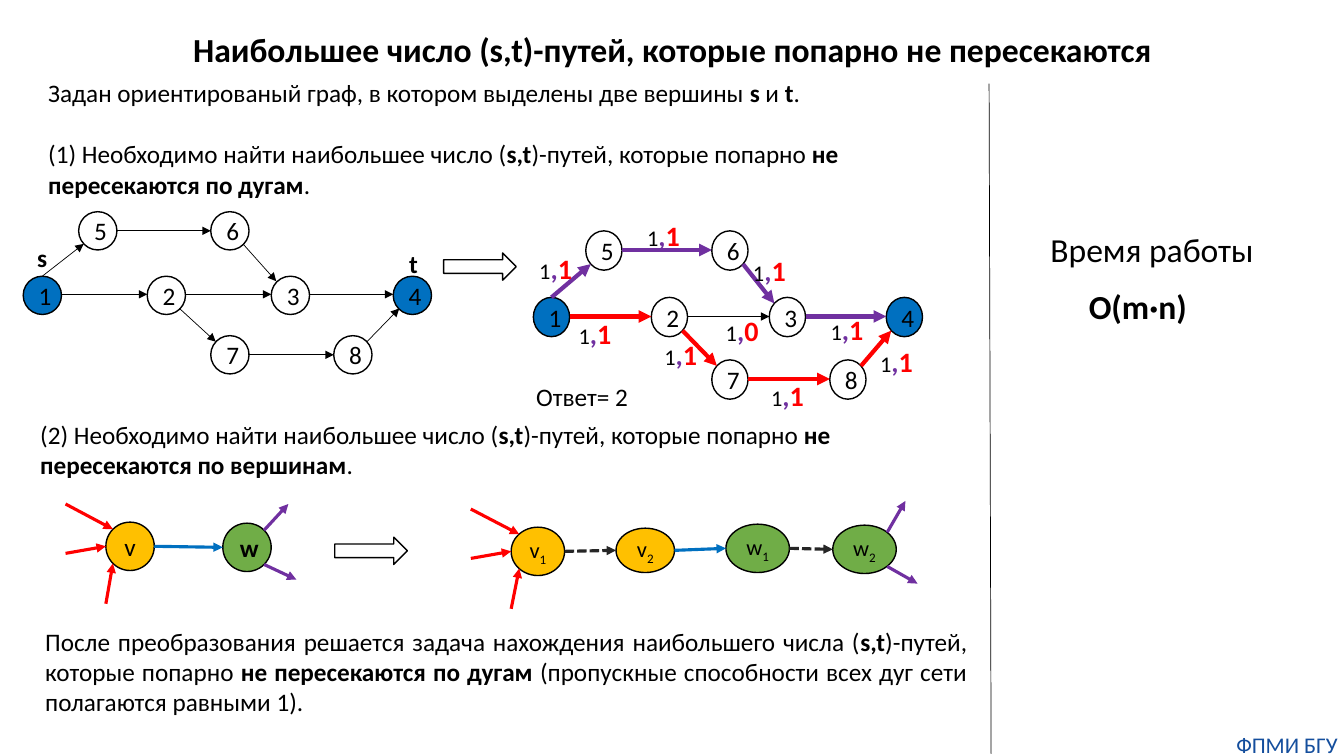
from pptx import Presentation
from pptx.dml.color import RGBColor
from pptx.enum.dml import MSO_LINE
from pptx.enum.shapes import MSO_CONNECTOR, MSO_SHAPE
from pptx.enum.text import MSO_ANCHOR, PP_ALIGN
from pptx.oxml.ns import qn
from pptx.util import Pt
from lxml.etree import SubElement

PX = 9144
BLACK, RED, PURPLE, BLUE = "000000", "FF0000", "7030A0", "0070C0"
YELLOW, GREEN, GRAY, NAVY = "FFC000", "70AD47", "262626", "144E9D"

SITES = {"N": (0.5, 0), "E": (1, 0.5), "W": (0, 0.5), "NE": (0.85, 0.15),
         "SE": (0.85, 0.85), "SW": (0.15, 0.85), "NW": (0.15, 0.15)}
GRAPH_SIZE = (386, 167)
NODE_SIZE = (36, 39)
NODES = {"1": (0, 66), "2": (117, 66), "3": (234, 66), "4": (350, 66),
         "5": (52, 0), "6": (177, 0), "7": (177, 128), "8": (294, 128)}
ARCS = [
    ("1", "E", "2", "W", RED, (35, 80), "1"),
    ("2", "E", "3", "W", None, (181, 77), "0"),
    ("3", "E", "4", "W", PURPLE, (285, 76), "1"),
    ("2", "SE", "7", "NW", RED, (120, 101), "1"),
    ("7", "E", "8", "W", RED, (226, 142), "1"),
    ("8", "NE", "4", "SW", RED, (334, 108), "1"),
    ("1", "N", "5", "SW", PURPLE, (-4, 16), "1"),
    ("5", "E", "6", "W", PURPLE, (103, -17), "1"),
    ("6", "SE", "3", "NW", PURPLE, (208, 18), "1"),
]


def rgb(color):
    return RGBColor.from_string(color)


def px(*lengths):
    return [round(length) * PX for length in lengths]


def set_font(font, size, color, bold=None):
    font.name = "Calibri"
    font.size = Pt(size)
    font.color.rgb = rgb(color)
    font.bold = bold


def add_text(slide, box, paragraphs, size=18, color=BLACK, bold=None, wrap=True,
             align=PP_ALIGN.LEFT, gap=0):
    frame = slide.shapes.add_textbox(*px(*box)).text_frame
    frame.word_wrap = wrap
    for index, text in enumerate(paragraphs):
        line = frame.add_paragraph() if index else frame.paragraphs[0]
        line.alignment = align
        line.space_before = Pt(gap if index else 0)
        set_font(line.font, size, color, bold)
        for part, words in enumerate(text.split("|")):
            run = line.add_run()
            run.text = words
            if part % 2:
                run.font.bold = True
    return frame


def add_outlined(slide, preset, box, fill=None):
    shape = slide.shapes.add_shape(preset, *px(*box))
    shape.shadow.inherit = False
    if fill:
        shape.fill.solid()
        shape.fill.fore_color.rgb = rgb(fill)
    else:
        shape.fill.background()
    shape.line.color.rgb = rgb(BLACK)
    shape.line.width = Pt(1)
    return shape


def add_vertex(slide, box, name, fill=None, size=18, bold=None):
    frame = add_outlined(slide, MSO_SHAPE.OVAL, box, fill).text_frame
    frame.vertical_anchor = MSO_ANCHOR.MIDDLE
    label = frame.paragraphs[0]
    label.alignment = PP_ALIGN.CENTER
    set_font(label.font, size, BLACK, bold)
    label.add_run().text = name[0]
    if name[1:]:
        index = label.add_run()
        index.text = name[1:]
        index.font._element.set("baseline", "-25000")


def add_line(slide, start, end, color, width, arrow=True, dashed=False):
    line = slide.shapes.add_connector(MSO_CONNECTOR.STRAIGHT, *px(*start, *end))
    line.line.color.rgb = rgb(color)
    line.line.width = Pt(width)
    if dashed:
        line.line.dash_style = MSO_LINE.SQUARE_DOT
    properties = line._element.spPr
    if arrow:
        SubElement(properties.find(qn("a:ln")), qn("a:tailEnd"), type="triangle")
    SubElement(properties, qn("a:effectLst"))


def site(box, name):
    left, top, width, height = box
    across, down = SITES[name]
    return left + across * width, top + down * height


def add_flow_label(slide, left, top, flow):
    frame = slide.shapes.add_textbox(*px(left, top, 53, 44)).text_frame
    frame.word_wrap = False
    label = frame.paragraphs[0]
    for text, size, color, bold in [("1", 16, BLACK, False), (",", 20, PURPLE, True),
                                    (flow, 20, RED, True)]:
        run = label.add_run()
        run.text = text
        set_font(run.font, size, color, bold)


def add_graph(slide, box, with_flow):
    left, top, width, height = box
    across, down = width / GRAPH_SIZE[0], height / GRAPH_SIZE[1]
    vertices = {name: (left + x * across, top + y * down,
                       NODE_SIZE[0] * across, NODE_SIZE[1] * down)
                for name, (x, y) in NODES.items()}
    for name, vertex in vertices.items():
        add_vertex(slide, vertex, name, BLUE if name in "14" else None)
    for tail, leave, head, enter, color, _, _ in ARCS:
        used = with_flow and color
        add_line(slide, site(vertices[tail], leave), site(vertices[head], enter),
                 color if used else BLACK, 3 if used else 0.5)
    if with_flow:
        for *_, (x, y), flow in ARCS:
            add_flow_label(slide, left + x, top + y, flow)
    else:
        add_text(slide, (left + 4, top + 25, 30, 40), ["s"], bold=True, wrap=False)
        add_text(slide, (left + 373, top + 31, 29, 40), ["t"], bold=True, wrap=False)


def add_vertex_row(slide, origin, vertices, exits, size):
    left, top = origin
    boxes = []
    for name, fill, (x, y, width, height) in vertices:
        boxes.append((left + x, top + y, width, height))
        add_vertex(slide, boxes[-1], name, fill, size, name == "w")
    first, last = boxes[0], boxes[-1]
    for enter, x, y in [("NW", -40, -18), ("W", -40, 31), ("SW", 0, 81)]:
        add_line(slide, (first[0] + x, first[1] + y), site(first, enter), RED, 2.25)
    for leave, (x, y) in zip(("NE", "SE"), exits):
        add_line(slide, site(last, leave), (left + x, top + y), PURPLE, 2.25)
    for (tail, head), (tail_box, head_box) in zip(zip(vertices, vertices[1:]),
                                                  zip(boxes, boxes[1:])):
        inner = tail[1] == head[1]
        add_line(slide, site(tail_box, "E"), site(head_box, "W"),
                 GRAY if inner else BLUE, 2.25, dashed=inner)


def add_arc_task(slide, left, top):
    add_text(slide, (left + 15, top, 937, 131), [
        "Задан ориентированый граф, в котором выделены две вершины |s| и |t|.",
        "(1) Необходимо найти наибольшее число (|s,t|)-путей, которые попарно "
        "|не пересекаются по дугам|."], gap=22)
    add_graph(slide, (left, top + 138, 405, 161), False)
    add_outlined(slide, MSO_SHAPE.RIGHT_ARROW, (left + 417, top + 179, 72, 27))
    add_graph(slide, (left + 506, top + 157, *GRAPH_SIZE), True)
    add_text(slide, (left + 499, top + 301, 118, 40), ["Ответ= 2"], wrap=False)


def add_vertex_task(slide, left, top):
    add_text(slide, (left, top, 939, 71), [
        "(2) Необходимо найти наибольшее число (|s,t|)-путей, которые попарно "
        "|не пересекаются по вершинам|."])
    add_vertex_row(slide, (left + 35, top + 89), [
        ("v", YELLOW, (40, 18, 48, 48)), ("w", GREEN, (156, 19, 48, 48))],
        [(221, 0), (229, 75)], 18)
    add_outlined(slide, MSO_SHAPE.RIGHT_ARROW, (left + 302, top + 122, 72, 27))
    add_vertex_row(slide, (left + 437, top + 86), [
        ("v1", YELLOW, (40, 26, 53, 48)), ("v2", YELLOW, (144, 27, 58, 44)),
        ("w1", GREEN, (253, 23, 63, 48)), ("w2", GREEN, (359, 24, 63, 48))],
        [(431, 0), (443, 82)], 16)
    add_text(slide, (left + 5, top + 205, 934, 101), [
        "После преобразования решается задача нахождения наибольшего числа "
        "(|s,t|)-путей, которые попарно |не пересекаются по дугам| (пропускные "
        "способности всех дуг сети полагаются равными 1)."], align=PP_ALIGN.JUSTIFY)


def add_running_time(slide, left, top):
    add_line(slide, (left, top), (left + 2, top + 665), BLACK, 0.5, arrow=False)
    add_text(slide, (left + 51, top + 139, 238, 50), ["Время работы"], 24, wrap=False)
    add_text(slide, (left + 89, top + 196, 118, 50), ["O(m·n)"], 24, bold=True, wrap=False)


def add_title_and_footer(slide):
    title = add_text(slide, (179, 19, 976, 64), [
        "Наибольшее число (s,t)-путей, которые попарно не пересекаются"],
        24, bold=True, align=PP_ALIGN.CENTER)
    title.vertical_anchor = MSO_ANCHOR.MIDDLE
    title.paragraphs[0].line_spacing = 0.9
    footer = add_text(slide, (1220, 725, 113, 27), ["ФПМИ БГУ"], 16, NAVY,
                      align=PP_ALIGN.CENTER)
    footer.margin_left = footer.margin_right = footer.margin_top = footer.margin_bottom = 0


def main():
    presentation = Presentation()
    presentation.slide_width, presentation.slide_height = px(1333, 750)
    slide = presentation.slides.add_slide(presentation.slide_layouts[6])
    add_title_and_footer(slide)
    add_arc_task(slide, 23, 72)
    add_vertex_task(slide, 30, 411)
    add_running_time(slide, 981, 83)
    presentation.save("out.pptx")


if __name__ == "__main__":
    main()
